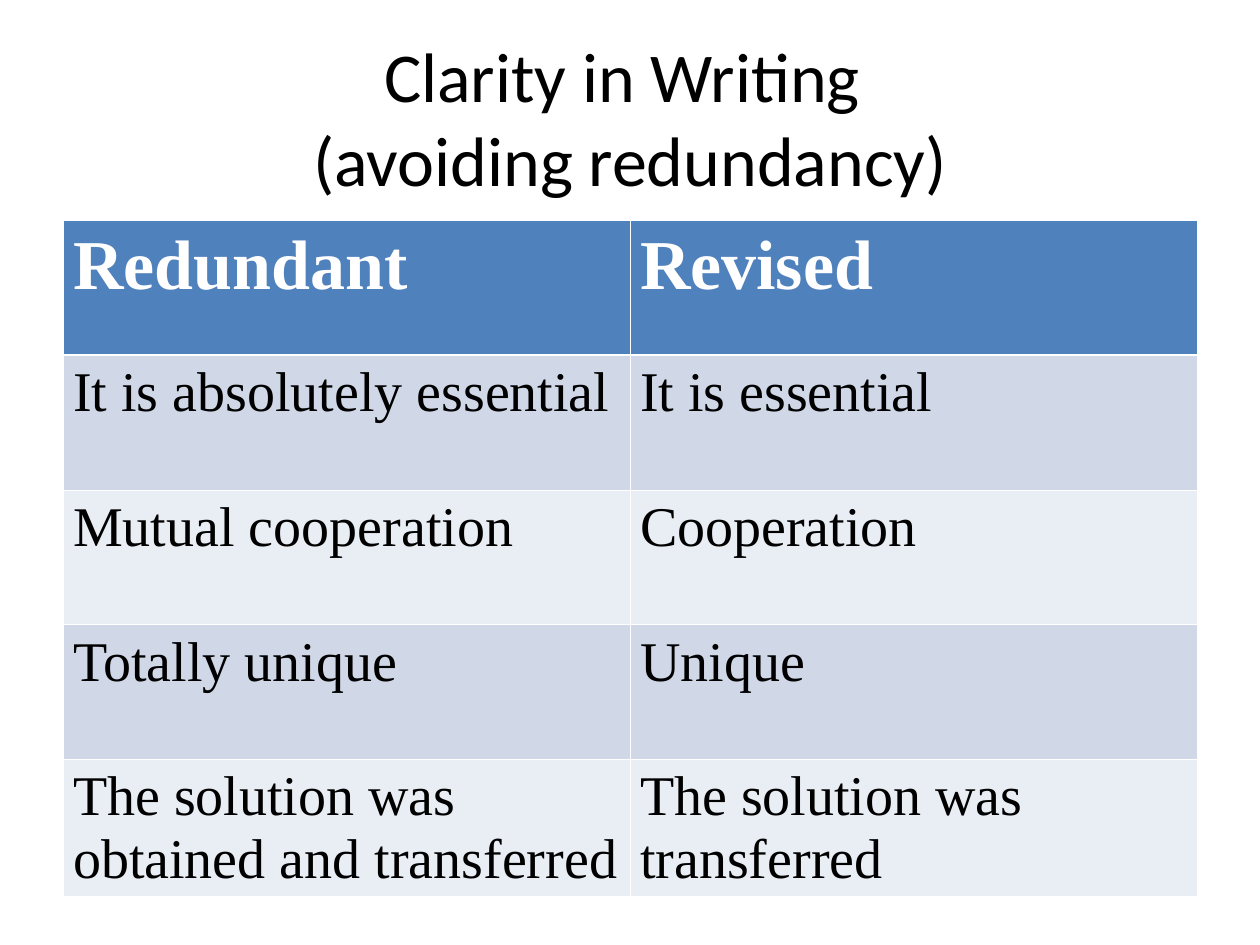
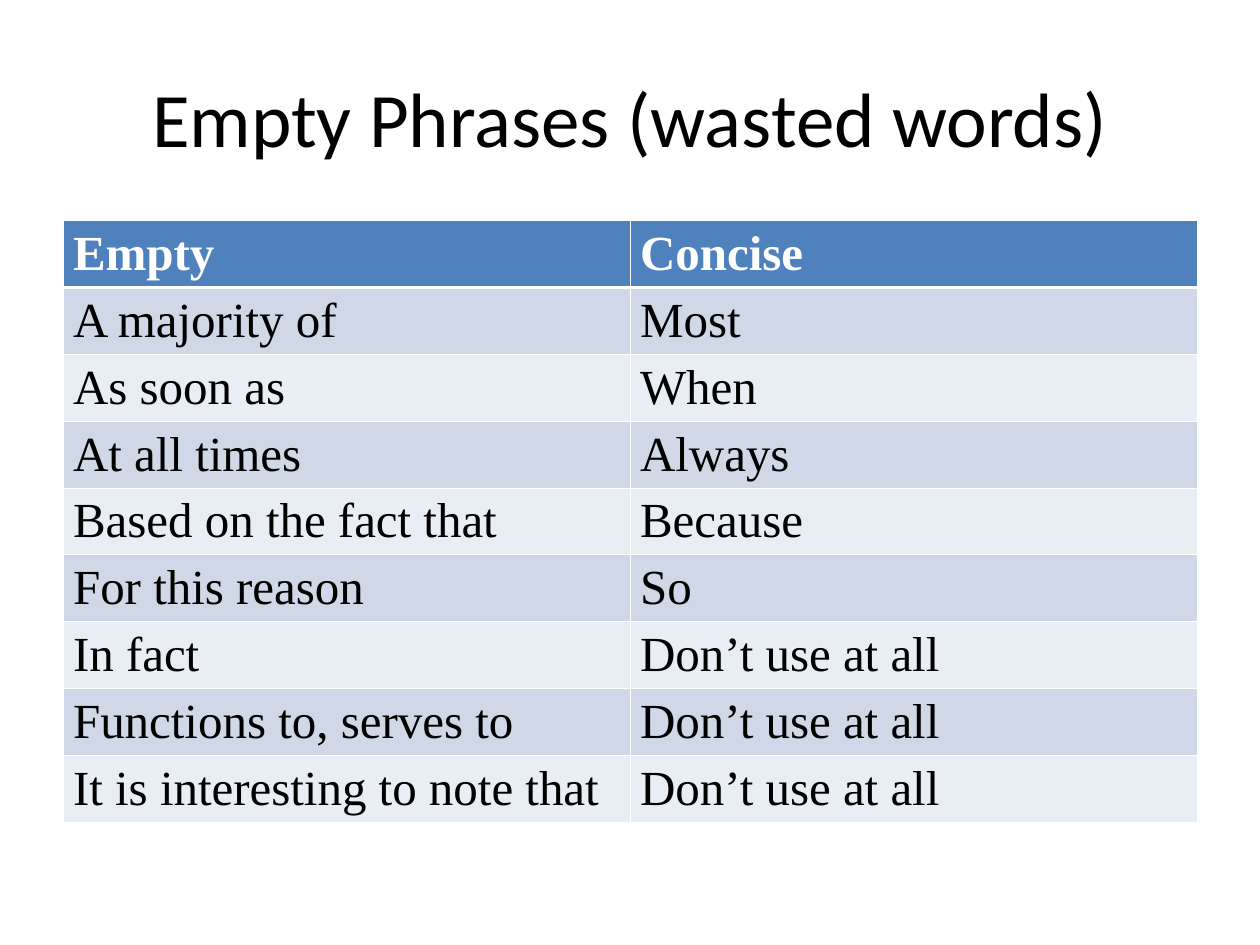
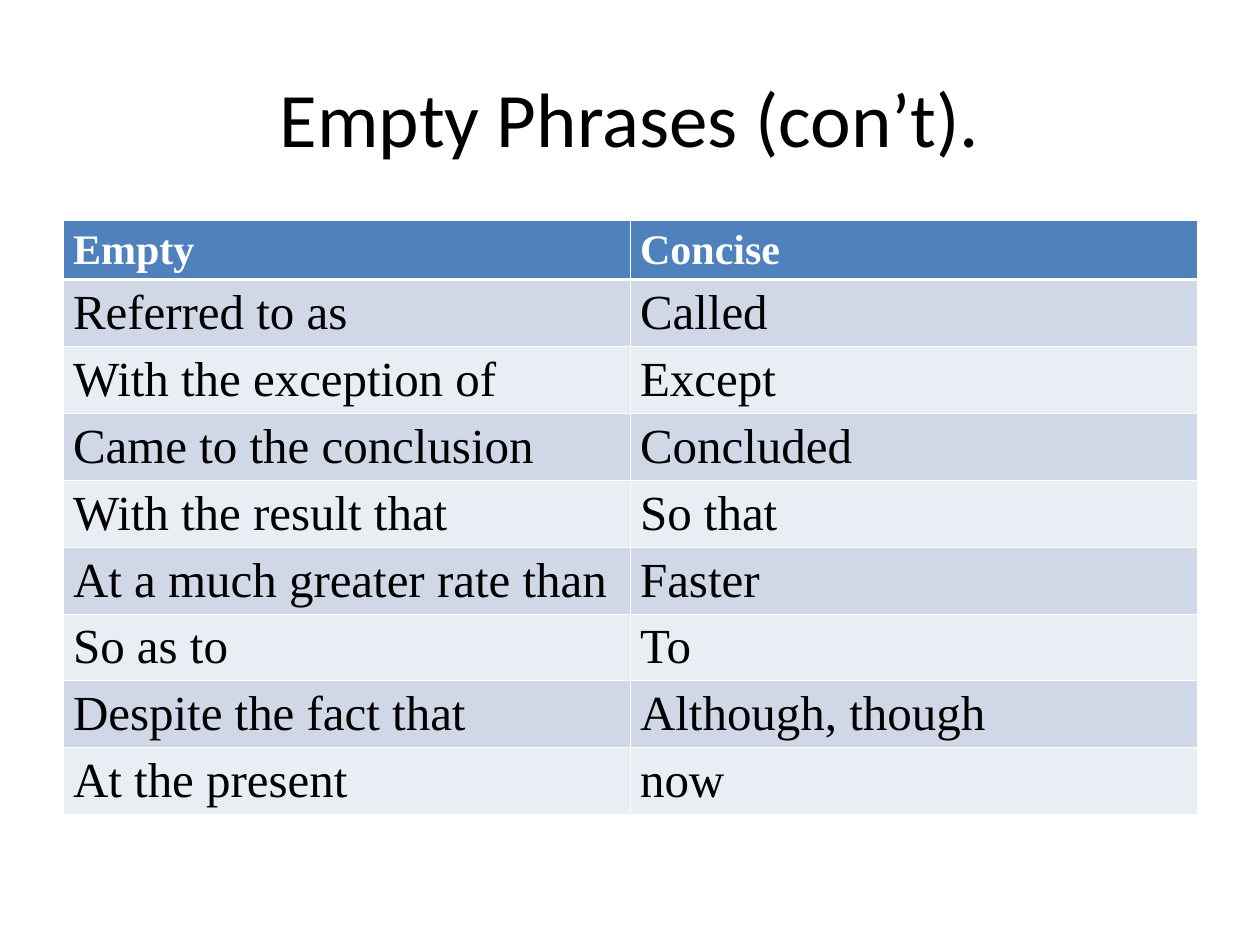
from lxml import etree
from pptx import Presentation
from pptx.dml.color import RGBColor
from pptx.enum.text import MSO_ANCHOR, MSO_AUTO_SIZE, PP_ALIGN
from pptx.oxml.ns import qn
from pptx.util import Inches, Pt

CENTER = PP_ALIGN.CENTER
MIDDLE = MSO_ANCHOR.MIDDLE
NO_AUTOFIT = MSO_AUTO_SIZE.NONE
TITLE_ONLY = 5

COLORS = {
    "text": "000000",
    "white": "FFFFFF",
    "header": "4F81BD",
    "odd_row": "D0D8E8",
    "even_row": "E9EDF4",
}
TITLE_FONT = "Calibri"
TABLE_FONT = "Times New Roman"
THIN, THICK = 0.45, 1.47
LEFT, WIDTH = 0.5, 9
TITLE_TOP, TITLE_HEIGHT = 0.3, 1.25
TABLE_TOP = 1.75

REDUNDANCY_ROWS = [
    ("Redundant", "Revised"),
    ("It is absolutely essential", "It is essential"),
    ("Mutual cooperation", "Cooperation"),
    ("Totally unique", "Unique"),
    ("The solution was obtained and transferred", "The solution was transferred"),
]
EMPTY_PHRASE_ROWS = [
    ("Empty", "Concise"),
    ("A majority of", "Most"),
    ("As soon as", "When"),
    ("At all times", "Always"),
    ("Based on the fact that", "Because"),
    ("For this reason", "So"),
    ("In fact", "Don’t use at all"),
    ("Functions to, serves to", "Don’t use at all"),
    ("It is interesting to note that", "Don’t use at all"),
]
MORE_EMPTY_PHRASE_ROWS = [
    ("Empty", "Concise"),
    ("Referred to as", "Called"),
    ("With the exception of", "Except"),
    ("Came to the conclusion", "Concluded"),
    ("With the result that", "So that"),
    ("At a much greater rate than", "Faster"),
    ("So as to", "To"),
    ("Despite the fact that", "Although, though"),
    ("At the present", "now"),
]


def format_runs(paragraph, font_name, size, color, bold=False):
    for run in paragraph.runs:
        run.font.name = font_name
        run.font.size = Pt(size)
        run.font.bold = bold
        run.font.color.rgb = RGBColor.from_string(COLORS[color])


def add_titled_slide(presentation, title, size):
    slide = presentation.slides.add_slide(presentation.slide_layouts[TITLE_ONLY])
    shape = slide.shapes.title
    shape.left, shape.top = Inches(LEFT), Inches(TITLE_TOP)
    shape.width, shape.height = Inches(WIDTH), Inches(TITLE_HEIGHT)
    text_frame = shape.text_frame
    text_frame.word_wrap = True
    text_frame.auto_size = NO_AUTOFIT
    text_frame.vertical_anchor = MIDDLE
    paragraph = text_frame.paragraphs[0]
    paragraph.text = title
    paragraph.alignment = CENTER
    format_runs(paragraph, TITLE_FONT, size, "text")
    return slide


def set_borders(cell, top, bottom):
    """Draw white borders; the side borders are always thin."""
    properties = cell._tc.get_or_add_tcPr()
    widths = {"a:lnL": THIN, "a:lnR": THIN, "a:lnT": top, "a:lnB": bottom}
    for tag, width in widths.items():
        line = etree.SubElement(properties, qn(tag), w=str(Pt(width)))
        fill = etree.SubElement(line, qn("a:solidFill"))
        etree.SubElement(fill, qn("a:srgbClr"), val=COLORS["white"])


def format_cell(cell, text, row_index, size):
    is_header = row_index == 0
    set_borders(cell, THICK if row_index == 1 else THIN, THICK if is_header else THIN)
    band = "odd_row" if row_index % 2 else "even_row"
    cell.fill.solid()
    cell.fill.fore_color.rgb = RGBColor.from_string(COLORS["header" if is_header else band])
    cell.margin_left = cell.margin_right = Inches(0.08)
    cell.margin_top = cell.margin_bottom = Inches(0.05)
    paragraph = cell.text_frame.paragraphs[0]
    paragraph.text = text
    format_runs(paragraph, TABLE_FONT, size, "white" if is_header else "text", is_header)


def add_phrase_table(slide, rows, header_size, body_size, header_height, body_height):
    column_count = len(rows[0])
    height = header_height + body_height * (len(rows) - 1)
    table = slide.shapes.add_table(
        len(rows), column_count,
        Inches(LEFT), Inches(TABLE_TOP), Inches(WIDTH), Inches(height),
    ).table
    for column in table.columns:
        column.width = Inches(WIDTH / column_count)
    for row_index, texts in enumerate(rows):
        is_header = row_index == 0
        table.rows[row_index].height = Inches(header_height if is_header else body_height)
        size = header_size if is_header else body_size
        for column_index, text in enumerate(texts):
            format_cell(table.cell(row_index, column_index), text, row_index, size)


def main():
    presentation = Presentation()
    presentation.slide_width = Inches(10)
    presentation.slide_height = Inches(7.5)

    # Redundant wording
    slide = add_titled_slide(presentation, "Clarity in Writing \n(avoiding redundancy)", 40)
    add_phrase_table(slide, REDUNDANCY_ROWS, 40, 32, 1.07, 1.07)

    # Empty phrases
    slide = add_titled_slide(presentation, "Empty Phrases (wasted words)", 44)
    add_phrase_table(slide, EMPTY_PHRASE_ROWS, 28, 28, 0.47, 0.47)

    # Empty phrases, continued
    slide = add_titled_slide(presentation, "Empty Phrases (con’t).", 44)
    add_phrase_table(slide, MORE_EMPTY_PHRASE_ROWS, 24, 28, 0.41, 0.47)

    presentation.save("out.pptx")


if __name__ == "__main__":
    main()
